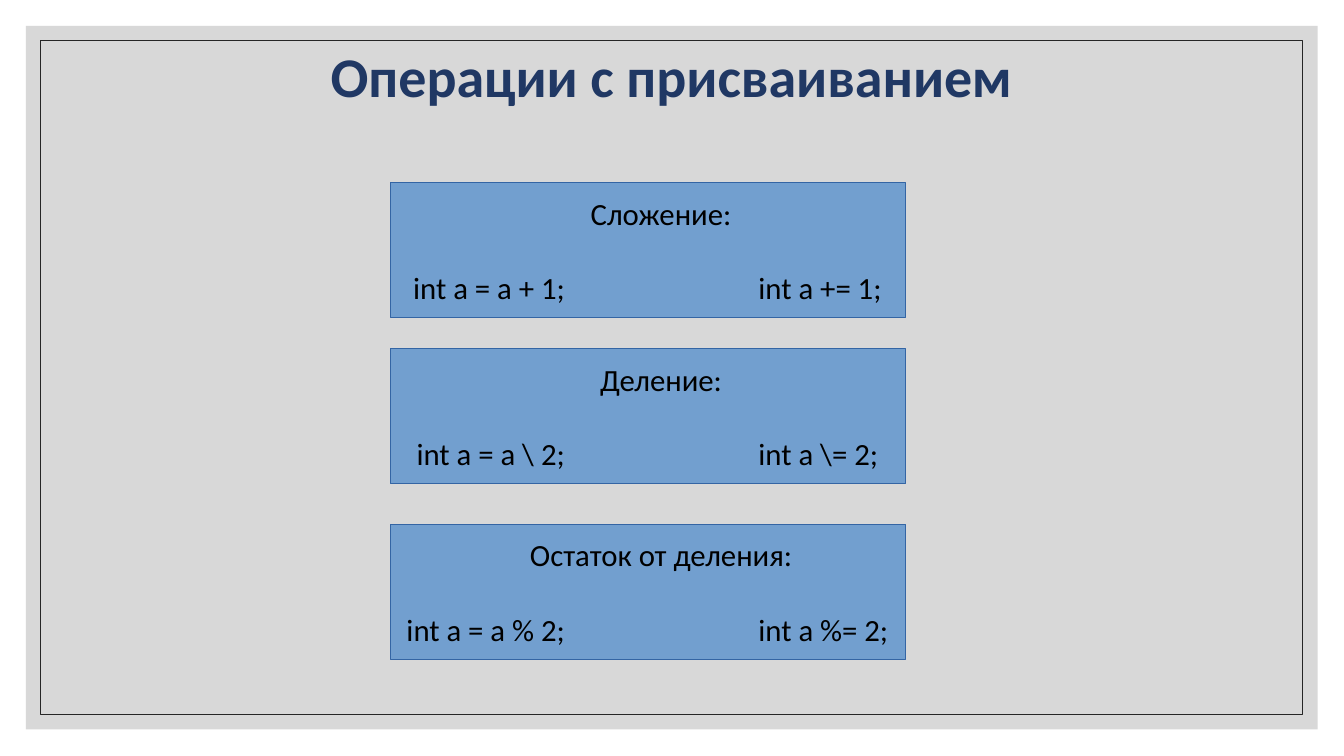
from dataclasses import dataclass

from lxml.etree import SubElement
from pptx import Presentation
from pptx.dml.color import RGBColor
from pptx.enum.shapes import MSO_SHAPE
from pptx.enum.text import MSO_ANCHOR, PP_ALIGN
from pptx.oxml.ns import qn
from pptx.util import Cm, Pt


@dataclass(frozen=True)
class Theme:
    font: str = "Calibri"
    title_size: int = 40
    body_size: int = 22
    title: str = "203864"
    text: str = "000000"
    backdrop: str = "BFBFBF"
    backdrop_alpha: int = 60
    frame: str = "262626"
    card: str = "729FCF"
    card_line: str = "3465A4"


THEME = Theme()

CARD_LEFT, CARD_WIDTH, CARD_HEIGHT = 9.83, 13.0, 3.4
# top, heading, full form, short form
OPERATIONS = [
    (4.6, "Сложение:", "int a = a + 1;", "int a += 1;"),
    (8.79, "Деление:", "int a = a \\ 2;", "int a \\= 2;"),
    (13.21, "Остаток от деления:", "int a = a % 2;", "int a %= 2;"),
]


def format_runs(paragraph, size, color, bold=False):
    for run in paragraph.runs:
        run.font.name = THEME.font
        run.font.size = Pt(size)
        run.font.bold = bold
        run.font.color.rgb = RGBColor.from_string(color)


def add_rectangle(slide, box, fill=None, line=None, line_width=0.5):
    shape = slide.shapes.add_shape(MSO_SHAPE.RECTANGLE, *map(Cm, box))
    shape.shadow.inherit = False
    if fill:
        shape.fill.solid()
        shape.fill.fore_color.rgb = RGBColor.from_string(fill)
    else:
        shape.fill.background()
    if line:
        shape.line.color.rgb = RGBColor.from_string(line)
        shape.line.width = Pt(line_width)
    else:
        shape.line.fill.background()
    return shape


def add_backdrop(slide, box, inset):
    left, top, width, height = box
    panel = add_rectangle(slide, box, fill=THEME.backdrop)
    color = panel._element.spPr.find(".//" + qn("a:srgbClr"))
    SubElement(color, qn("a:alpha"), val=str(THEME.backdrop_alpha * 1000))
    inner = (left + inset, top + inset, width - 2 * inset, height - 2 * inset)
    add_rectangle(slide, inner, line=THEME.frame)


def place_title(slide, box, text):
    title = slide.shapes.title
    title.left, title.top, title.width, title.height = map(Cm, box)
    title.text_frame.text = text
    title.text_frame.vertical_anchor = MSO_ANCHOR.MIDDLE
    paragraph = title.text_frame.paragraphs[0]
    paragraph.alignment = PP_ALIGN.CENTER
    format_runs(paragraph, THEME.title_size, THEME.title, bold=True)
    # Bring the title in front of the backdrop
    slide.shapes._spTree.append(title._element)


def add_operation_card(slide, box, heading, full_form, short_form):
    card = add_rectangle(slide, box, THEME.card, THEME.card_line, 0.75)
    frame = card.text_frame
    frame.word_wrap = True
    frame.vertical_anchor = MSO_ANCHOR.MIDDLE

    # Heading, indented so that it sits right of centre
    title = frame.paragraphs[0]
    title.text = heading
    title.alignment = PP_ALIGN.CENTER
    title._p.get_or_add_pPr().set("marL", str(Cm(0.66)))

    # Both forms: the first ends at one tab, the second starts at the other
    code = frame.add_paragraph()
    code.text = f"\t{full_form}\t{short_form}"
    code.alignment = PP_ALIGN.LEFT
    code.space_before = Pt(26.5)
    tabs = SubElement(code._p.get_or_add_pPr(), qn("a:tabLst"))
    for position, align in ((0.32 * box[2], "r"), (0.695 * box[2], "l")):
        SubElement(tabs, qn("a:tab"), pos=str(Cm(position)), algn=align)

    for paragraph in frame.paragraphs:
        format_runs(paragraph, THEME.body_size, THEME.text)


def main():
    presentation = Presentation()
    presentation.slide_width, presentation.slide_height = Cm(33.87), Cm(19.05)
    slide = presentation.slides.add_slide(presentation.slide_layouts[5])

    add_backdrop(slide, (0.65, 0.65, 32.56, 17.73), inset=0.38)
    place_title(slide, (5.97, 0.84, 21.9, 2.11), "Операции с присваиванием")
    for top, heading, full_form, short_form in OPERATIONS:
        box = (CARD_LEFT, top, CARD_WIDTH, CARD_HEIGHT)
        add_operation_card(slide, box, heading, full_form, short_form)

    presentation.save("out.pptx")


if __name__ == "__main__":
    main()
